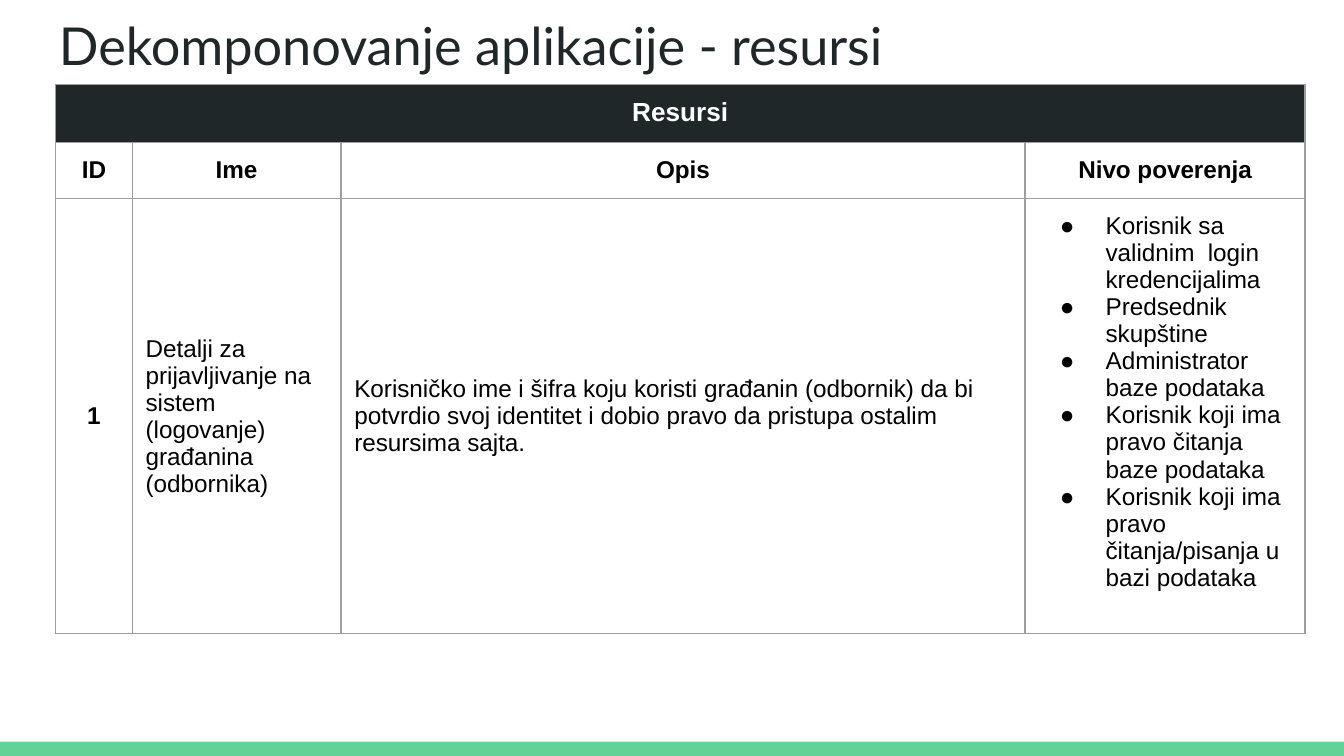
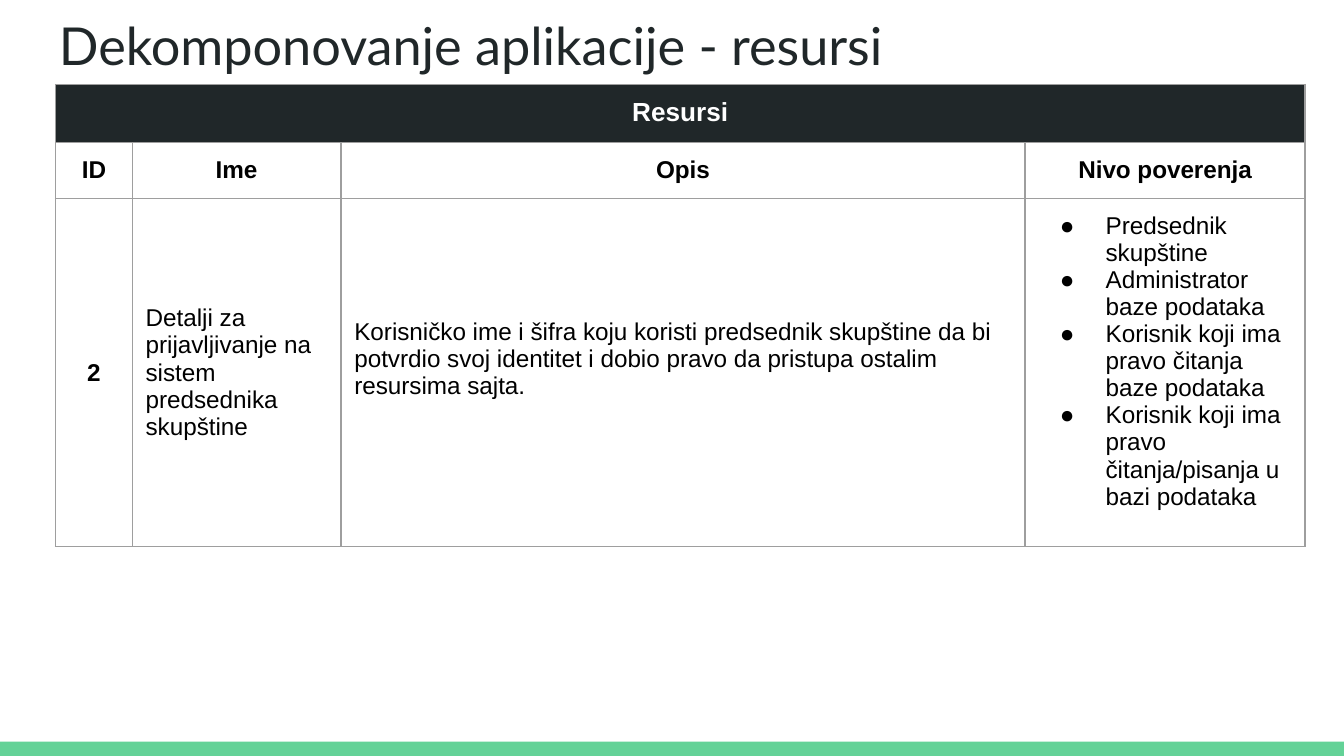
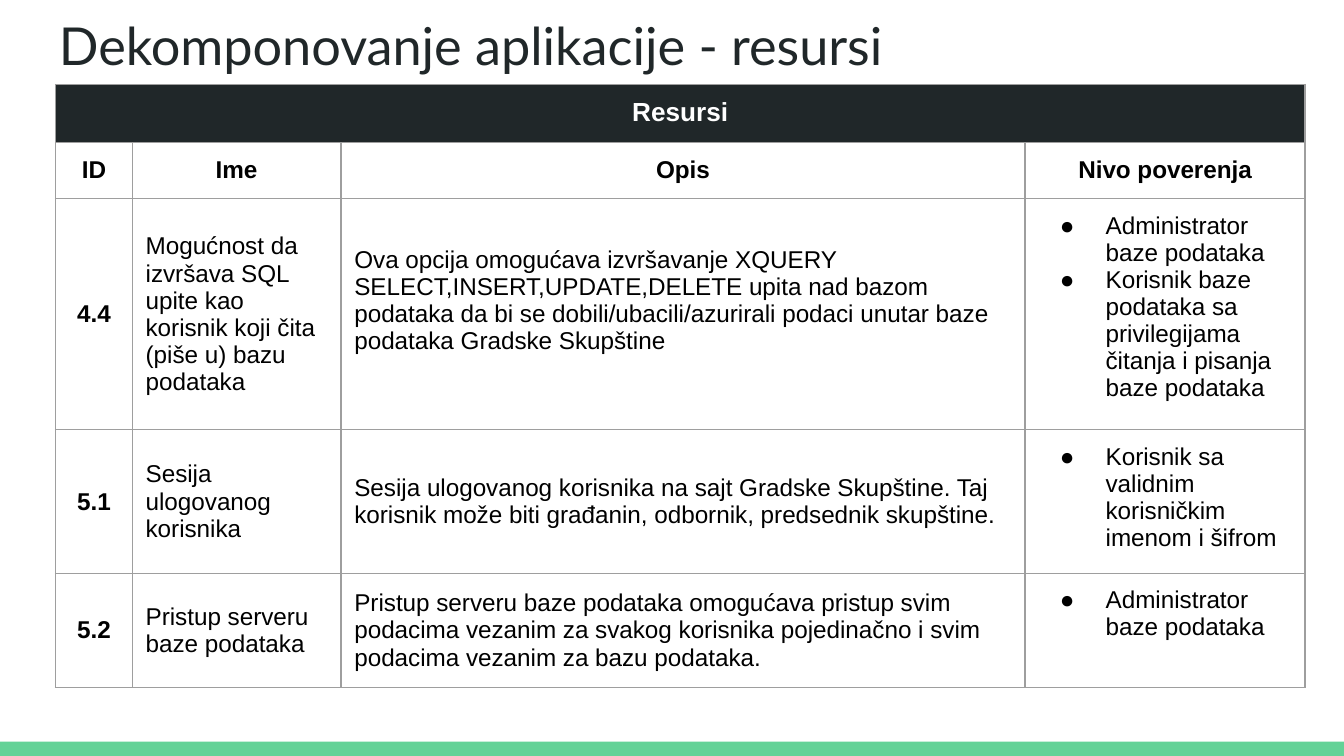
from pptx import Presentation
from pptx.dml.color import RGBColor as Rgb
from pptx.enum.shapes import MSO_SHAPE as Form
from pptx.enum.text import MSO_ANCHOR as Anchor, PP_ALIGN as Align
from pptx.oxml.ns import qn
from pptx.util import Pt
from lxml.etree import SubElement as Sub

WIDE, HIGH = 720, 405
INK, GREEN, GREY, WHITE, BLACK = "202729", "63D297", "9E9E9E", "FFFFFF", "000000"
HEADS = ["ID", "Ime", "Opis", "Nivo poverenja"]
COLS = [41.1, 111.8, 366.5, 150]
PAD, RAISED = 7.2, 21.7
TITLE = "Dekomponovanje aplikacije - resursi"

CHAIR = "Predsednik skupštine"
ADMIN = "Administrator baze podataka"
READER = "Korisnik koji ima pravo čitanja baze podataka"
WRITER = "Korisnik koji ima pravo čitanja/pisanja u bazi podataka"

PAGES = [
    [("1",
      "Detalji za prijavljivanje na sistem (logovanje) građanina (odbornika)",
      "Korisničko ime i šifra koju koristi građanin (odbornik) da bi potvrdio "
      "svoj identitet i dobio pravo da pristupa ostalim resursima sajta.",
      ["Korisnik sa validnim  login kredencijalima", CHAIR, ADMIN, READER, WRITER],
      PAD)],
    [("2",
      "Detalji za prijavljivanje na sistem predsednika skupštine",
      "Korisničko ime i šifra koju koristi predsednik skupštine da bi potvrdio "
      "svoj identitet i dobio pravo da pristupa ostalim resursima sajta.",
      [CHAIR, ADMIN, READER, WRITER], RAISED)],
    [("4.4",
      "Mogućnost da izvršava SQL upite kao korisnik koji čita (piše u) bazu podataka",
      "Ova opcija omogućava izvršavanje XQUERY SELECT,INSERT,UPDATE,DELETE upita "
      "nad bazom podataka da bi se dobili/ubacili/azurirali podaci unutar baze "
      "podataka Gradske Skupštine",
      [ADMIN, "Korisnik baze podataka sa privilegijama čitanja i pisanja baze podataka"],
      RAISED),
     ("5.1",
      "Sesija ulogovanog korisnika",
      "Sesija ulogovanog korisnika na sajt Gradske Skupštine. Taj korisnik može "
      "biti građanin, odbornik, predsednik skupštine.",
      ["Korisnik sa validnim korisničkim imenom i šifrom"], PAD),
     ("5.2",
      "Pristup serveru baze podataka",
      "Pristup serveru baze podataka omogućava pristup svim podacima vezanim za "
      "svakog korisnika pojedinačno i svim podacima vezanim za bazu podataka.",
      [ADMIN], PAD)],
]


def tint(code):
    return Rgb.from_string(code)


class Deck:
    def __init__(self):
        self.show = Presentation()
        self.show.slide_width, self.show.slide_height = Pt(WIDE), Pt(HIGH)
        self.slide = None

    def page(self, title):
        self.slide = self.show.slides.add_slide(self.show.slide_layouts[6])
        self.slide.background.fill.solid()
        self.slide.background.fill.fore_color.rgb = tint(WHITE)
        self.band()
        self.title(title)

    def band(self):
        bar = self.slide.shapes.add_shape(
            Form.RECTANGLE, 0, Pt(397.4), Pt(WIDE), Pt(7.6))
        bar.shadow.inherit = False
        bar.fill.solid()
        bar.fill.fore_color.rgb = tint(GREEN)
        bar.line.fill.background()

    def title(self, words):
        box = self.slide.shapes.add_textbox(Pt(24.5), 0, Pt(671), Pt(45.4))
        frame = box.text_frame
        frame.word_wrap = True
        self.inset(frame)
        self.run(frame.paragraphs[0], words, 28, INK, face="Lato")

    def inset(self, item, low=PAD):
        item.margin_left = item.margin_right = item.margin_top = Pt(PAD)
        item.margin_bottom = Pt(low)

    def run(self, para, words, size=13, color=BLACK, bold=False, face="Arial"):
        run = para.add_run()
        run.text = words
        font = run.font
        font.name, font.size, font.bold = face, Pt(size), bold
        font.color.rgb = tint(color)
        Sub(para._p, qn("a:endParaRPr"), sz=str(size * 100))

    def bullet(self, para):
        props = para._p.get_or_add_pPr()
        props.set("marL", str(Pt(36)))
        props.set("indent", str(Pt(-24.5)))
        Sub(props, qn("a:buSzPts"), val="1300")
        Sub(props, qn("a:buFont"), typeface="Arial")
        Sub(props, qn("a:buChar"), char="●")

    def edge(self, cell):
        props = cell._tc.get_or_add_tcPr()
        for side in ("lnL", "lnR", "lnT", "lnB"):
            line = Sub(props, qn(f"a:{side}"), w=str(Pt(0.75)))
            Sub(Sub(line, qn("a:solidFill")), qn("a:srgbClr"), val=GREY)

    def cell(self, cell, lines, mid=False, center=False, dots=False, low=PAD, **style):
        self.inset(cell, low)
        cell.vertical_anchor = Anchor.MIDDLE if mid else Anchor.TOP
        frame = cell.text_frame
        for i, words in enumerate(lines):
            para = frame.add_paragraph() if i else frame.paragraphs[0]
            para.alignment = Align.CENTER if center else Align.LEFT
            if dots:
                self.bullet(para)
            self.run(para, words, **style)

    def table(self, items):
        grid = self.slide.shapes.add_table(
            len(items) + 2, len(COLS), Pt(29.75), Pt(45.2), Pt(sum(COLS)), Pt(90)).table
        grid.first_row = grid.horz_banding = False
        for col, width in zip(grid.columns, COLS):
            col.width = Pt(width)
        for i, row in enumerate(grid.rows):
            row.height = Pt(30 if i else 31)
            for cell in row.cells:
                self.edge(cell)
                if i:
                    cell.fill.background()
                else:
                    cell.fill.solid()
                    cell.fill.fore_color.rgb = tint(INK)
        grid.cell(0, 0).merge(grid.cell(0, len(COLS) - 1))
        self.cell(grid.cell(0, 0), ["Resursi"], center=True,
                  size=14, color=WHITE, bold=True)
        for i, head in enumerate(HEADS):
            self.cell(grid.cell(1, i), [head], center=True, bold=True)
        for i, (code, name, about, trust, low) in enumerate(items, 2):
            self.cell(grid.cell(i, 0), [code], mid=True, center=True, bold=True)
            self.cell(grid.cell(i, 1), [name], mid=True)
            self.cell(grid.cell(i, 2), [about], mid=True, low=low)
            self.cell(grid.cell(i, 3), trust, dots=True)


def main():
    deck = Deck()
    for items in PAGES:
        deck.page(TITLE)
        deck.table(items)
    deck.show.save("out.pptx")


if __name__ == "__main__":
    main()
